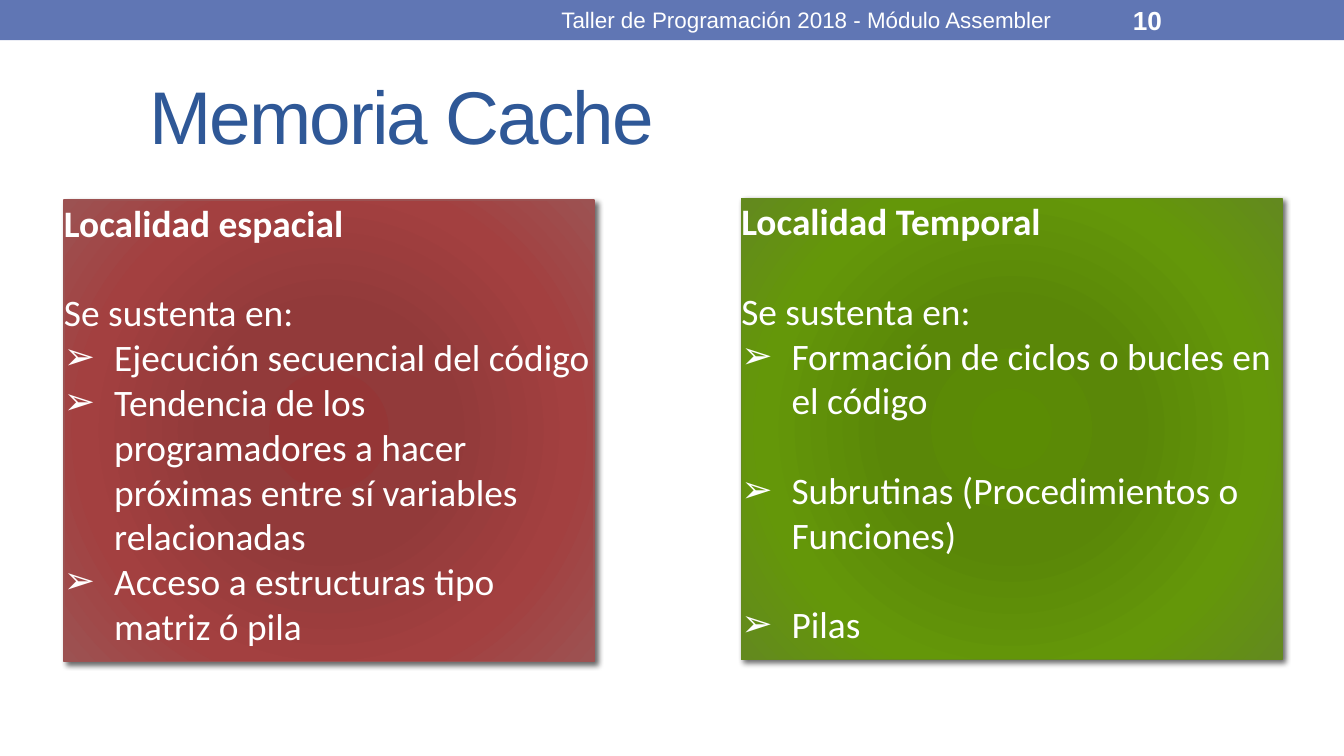
from dataclasses import dataclass

from lxml.etree import SubElement
from pptx import Presentation
from pptx.dml.color import RGBColor
from pptx.enum.shapes import MSO_SHAPE
from pptx.enum.text import MSO_ANCHOR, MSO_AUTO_SIZE, PP_ALIGN
from pptx.oxml import parse_xml
from pptx.oxml.ns import nsdecls, qn
from pptx.util import Cm, Pt


@dataclass(frozen=True)
class Theme:
    heading_font: str = "Arial"
    body_font: str = "Calibri"
    title_size: int = 40
    body_size: int = 20
    header_size: int = 12
    number_size: int = 14
    gap: int = 24
    bar: str = "6076B4"
    title: str = "2F5897"
    light: str = "FFFFFF"
    shadow: str = "000000"
    red: tuple = ("953636", "923A3A", "A34040", "9C5252")
    green: tuple = ("5B8C04", "5A8708", "649709", "63891F")
    stops: tuple = (0, 34, 70, 100)


class SlideBuilder:
    def __init__(self, page, theme):
        self.page = page
        self.theme = theme

    def add_span(self, para, text, font, size, color, bold=False):
        span = para.add_run()
        span.text = text
        span.font.name = font
        span.font.size = Pt(size)
        span.font.bold = bold
        span.font.color.rgb = RGBColor.from_string(color)
        return span

    def rectangle(self, left, top, width, height):
        box = self.page.shapes.add_shape(
            MSO_SHAPE.RECTANGLE, Cm(left), Cm(top), Cm(width), Cm(height))
        box.shadow.inherit = False
        return box

    def bar(self, width, height):
        box = self.rectangle(0, 0, width, height)
        box.fill.solid()
        box.fill.fore_color.rgb = RGBColor.from_string(self.theme.bar)
        box.line.fill.background()

    def title(self, text, left, top, width, height):
        box = self.page.shapes.title
        box.left, box.top, box.width, box.height = map(Cm, (left, top, width, height))
        box.text_frame.vertical_anchor = MSO_ANCHOR.MIDDLE
        para = box.text_frame.paragraphs[0]
        para.alignment = PP_ALIGN.LEFT
        span = self.add_span(para, text, self.theme.heading_font,
                             self.theme.title_size, self.theme.title)
        span.font._element.set("spc", "-100")

    def label(self, text, left, width, size, alignment, bold=False):
        box = self.page.shapes.add_textbox(Cm(left), Cm(0.03), Cm(width), Cm(0.69))
        frame = box.text_frame
        frame.word_wrap = True
        frame.vertical_anchor = MSO_ANCHOR.MIDDLE
        para = frame.paragraphs[0]
        para.alignment = alignment
        self.add_span(para, text, self.theme.heading_font, size, self.theme.light, bold)

    def radial_fill(self, box, colors):
        stops = "".join(
            f'<a:gs pos="{place * 1000}"><a:srgbClr val="{color}"/></a:gs>'
            for place, color in zip(self.theme.stops, colors))
        gradient = parse_xml(
            f'<a:gradFill {nsdecls("a")} rotWithShape="1"><a:gsLst>{stops}</a:gsLst>'
            '<a:path path="circle"><a:fillToRect l="100000" t="100000" '
            'r="100000" b="100000"/></a:path></a:gradFill>')
        box._element.spPr.find(qn("a:prstGeom")).addnext(gradient)

    def drop_shadow(self, box):
        effects = box._element.spPr.find(qn("a:effectLst"))
        shadow = SubElement(effects, qn("a:outerShdw"), blurRad=str(Pt(3)),
                            dist=str(Pt(2)), dir=str(45 * 60000), rotWithShape="0")
        color = SubElement(shadow, qn("a:srgbClr"), val=self.theme.shadow)
        SubElement(color, qn("a:alpha"), val="60000")

    def bullet(self, para):
        properties = para._p.get_or_add_pPr()
        properties.set("marL", str(Cm(0.95)))
        properties.set("indent", str(-Cm(0.95)))
        SubElement(properties, qn("a:buFont"), typeface=self.theme.heading_font)
        SubElement(properties, qn("a:buChar"), char="➢")

    def panel(self, heading, reasons, colors, left, top, width, spaced=False):
        theme = self.theme
        box = self.rectangle(left, top, width, 8.72)
        box.line.color.rgb = RGBColor.from_string(colors[-1])
        box.line.width = Pt(0.75)
        self.radial_fill(box, colors)
        self.drop_shadow(box)
        frame = box.text_frame
        frame.word_wrap = True
        frame.auto_size = MSO_AUTO_SIZE.SHAPE_TO_FIT_TEXT
        frame.vertical_anchor = MSO_ANCHOR.TOP
        frame.margin_left = frame.margin_top = frame.margin_right = 0
        frame.margin_bottom = Cm(0.15)
        for index, text in enumerate([heading, "Se sustenta en:", *reasons]):
            para = frame.add_paragraph() if index else frame.paragraphs[0]
            para.alignment = PP_ALIGN.LEFT
            if index == 1 or (spaced and index > 2):
                para.space_before = Pt(theme.gap)
            if index > 1:
                self.bullet(para)
            self.add_span(para, text, theme.body_font, theme.body_size,
                          theme.light, bold=index == 0)


def main():
    deck = Presentation()
    deck.slide_width, deck.slide_height = Cm(25.4), Cm(14.29)
    theme = Theme()
    page = deck.slides.add_slide(deck.slide_layouts[5])
    builder = SlideBuilder(page, theme)
    builder.bar(25.4, 0.76)
    builder.title("Memoria Cache", 2.57, 1.14, 22.83, 2.06)
    builder.label("Taller de Programación 2018 - Módulo Assembler", 9.53, 11.43,
                  theme.header_size, PP_ALIGN.CENTER)
    builder.label("10", 21.16, 2.97, theme.number_size, PP_ALIGN.LEFT, bold=True)
    builder.panel("Localidad espacial", [
        "Ejecución secuencial del código",
        "Tendencia de los programadores a hacer próximas entre sí variables relacionadas",
        "Acceso a estructuras tipo matriz ó pila",
    ], theme.red, 1.21, 3.78, 10.02)
    builder.panel("Localidad Temporal", [
        "Formación de ciclos o bucles en el código",
        "Subrutinas (Procedimientos o Funciones)",
        "Pilas",
    ], theme.green, 14.01, 3.75, 10.22, spaced=True)
    deck.save("out.pptx")


if __name__ == "__main__":
    main()
